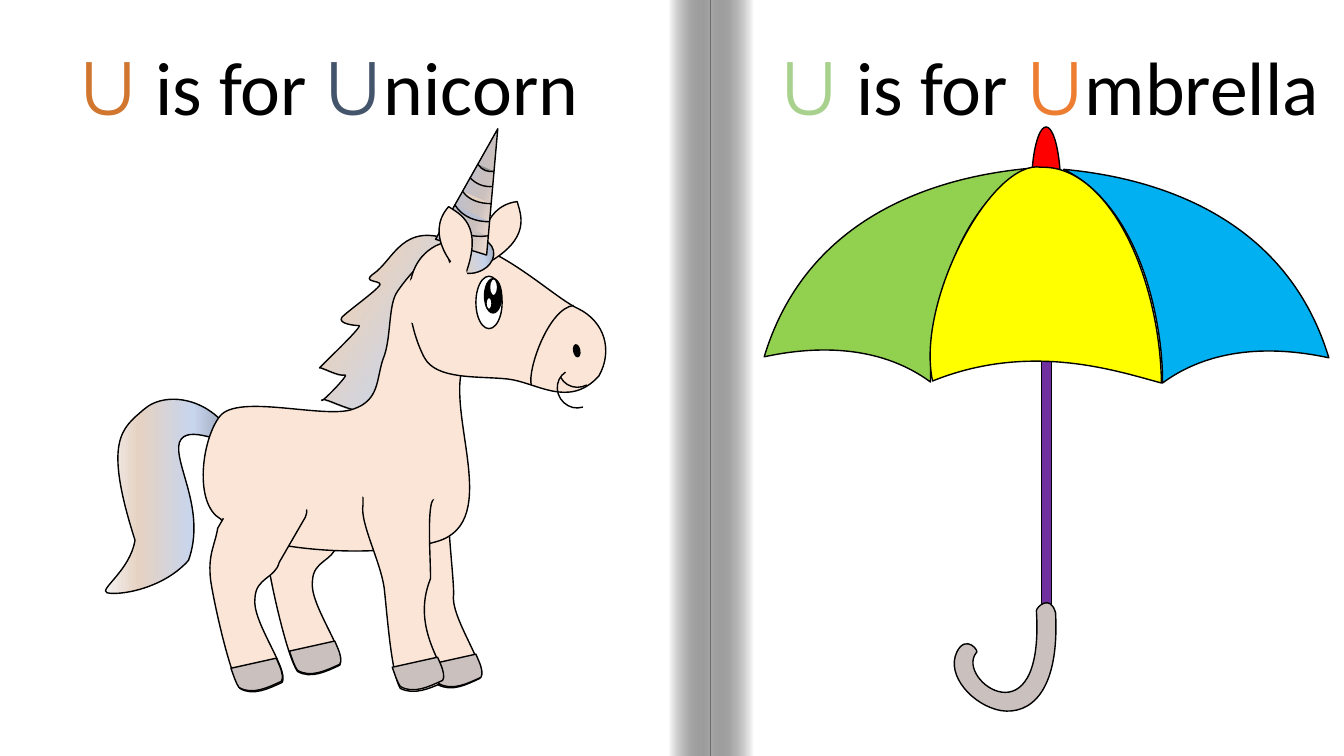
from lxml import etree
from pptx import Presentation
from pptx.dml.color import RGBColor
from pptx.enum.shapes import MSO_SHAPE as SHAPE
from pptx.enum.text import MSO_ANCHOR, MSO_AUTO_SIZE, PP_ALIGN
from pptx.oxml.ns import qn
from pptx.util import Inches, Pt

COLORS = {
    "black": "000000", "white": "FFFFFF", "skin": "FBE5D6", "hoof": "CAC0BE",
    "sand": "E6D2C2", "lilac": "BABED1", "gray": "8C8C8C", "pearl": "F6F8FC",
    "sky": "C7D5ED", "slate": "9097A9", "purple": "7030A0", "red": "FF0000",
    "green": "92D050", "blue": "00B0F0", "yellow": "FFFF00", "mint": "A9D18E",
    "orange": "ED7D31", "rust": "D1762F", "navy": "44546A",
}
# Gradient stops: position in percent, colour, opacity in percent
FOLD = [(0, "white", 100), (100, "black", 34)]
TAIL = [(0, "pearl", 100), (29, "sand", 100), (69, "sky", 100), (100, "slate", 100)]
MANE = [(0, "pearl", 20)] + TAIL[1:]
BODY = [(0, "pearl", 100), (24, "skin", 100)]
HORN = BODY + [(46, "hoof", 100), (74, "lilac", 100), (100, "slate", 100)]


def paint(shape, fill, angle=0, outlined=True):
    """Fill with a colour name, a list of gradient stops or None."""
    shape.shadow.inherit = False
    if fill is None:
        shape.fill.background()
    elif isinstance(fill, str):
        shape.fill.solid()
        shape.fill.fore_color.rgb = RGBColor.from_string(COLORS[fill])
    else:
        shape.fill.gradient()
        gradient = shape.element.spPr.find(qn("a:gradFill"))
        stops = gradient.find(qn("a:gsLst"))
        for old_stop in list(stops):
            stops.remove(old_stop)
        for position, color, opacity in fill:
            stop = etree.SubElement(stops, qn("a:gs"), pos=str(position * 1000))
            rgb = etree.SubElement(stop, qn("a:srgbClr"), val=COLORS[color])
            etree.SubElement(rgb, qn("a:alpha"), val=str(opacity * 1000))
        gradient.find(qn("a:lin")).set("ang", str(round(angle * 60000)))
    if outlined:
        shape.line.color.rgb = RGBColor.from_string(COLORS["black"])
        shape.line.width = Pt(1)
    else:
        shape.line.fill.background()


def trace(group, outline, fill, angle=0, dx=0, dy=0, mirror=1, close=True):
    """Draw comma-separated pieces: a start, then lines (2 numbers) or Bezier curves (6)."""
    pieces = [[float(n) for n in piece.split()] for piece in outline.split(",")]
    knots = [(Inches(dx + mirror * x), Inches(dy + y))
             for piece in pieces for x, y in zip(piece[::2], piece[1::2])]
    builder = group.shapes.build_freeform(*knots[0], scale=1.0)
    builder.add_line_segments(knots[1:], close=close)
    freeform = builder.convert_to_shape()
    contour = next(freeform.element.iter(qn("a:path")))
    segments = iter(contour.findall(qn("a:lnTo")))
    for piece in pieces[1:]:
        segment = next(segments)
        if len(piece) == 6:
            segment.tag = qn("a:cubicBezTo")
            for _ in range(2):
                following = next(segments)
                segment.append(following[0])
                contour.remove(following)
    paint(freeform, fill, angle)


prs = Presentation()
prs.slide_width, prs.slide_height = Inches(13.33), Inches(7.5)
slide = prs.slides.add_slide(prs.slide_layouts[5])
slide.background.fill.solid()
slide.background.fill.fore_color.rgb = RGBColor.from_string(COLORS["black"])

# Open book: white page and the shaded fold
book = slide.shapes.add_group_shape()
for left, width, fill, angle in [(0, 13.33, "white", 0), (7.05, 0.42, FOLD, 180),
                                 (6.63, 0.42, FOLD, 0)]:
    page = book.shapes.add_shape(SHAPE.RECTANGLE, Inches(left), 0, Inches(width), Inches(7.5))
    paint(page, fill, angle, outlined=False)

# Headings
umbrella_heading = slide.shapes.add_textbox(Inches(7.26), Inches(0.35), Inches(6.29), Inches(1.01))
unicorn_heading = slide.shapes.title
unicorn_heading.left, unicorn_heading.top = Inches(0), Inches(0.35)
unicorn_heading.width, unicorn_heading.height = Inches(6.68), Inches(1.01)
unicorn_heading.element.getparent().append(unicorn_heading.element)
for heading, first, second, rest in [(umbrella_heading, "mint", "orange", "mbrella"),
                                     (unicorn_heading, "rust", "navy", "nicorn ")]:
    frame = heading.text_frame
    frame.word_wrap = True
    frame.auto_size = MSO_AUTO_SIZE.SHAPE_TO_FIT_TEXT
    frame.vertical_anchor = MSO_ANCHOR.TOP
    line = frame.paragraphs[0]
    line.alignment = PP_ALIGN.CENTER
    for text, color in [("U", first), (" is for ", "black"), ("U", second), (rest, "black")]:
        run = line.add_run()
        run.text = text
        run.font.size = Pt(54)
        run.font.name = "Montserrat" if text == "U" else "Calibri"
        run.font.color.rgb = RGBColor.from_string(COLORS[color])

# Unicorn: tail, far legs, mane, body, near legs
unicorn = slide.shapes.add_group_shape()
hind_leg = ("2.99 4.62, 3.02 4.56 3.09 4.54 3.15 4.58, 3.55 4.8, 3.61 4.83 3.63 4.9 3.6 4.96,"
            "3.34 5.41, 3.3 5.57 3.11 5.56 3.1 5.76, 3.06 5.99 3.44 6.47 3.37 6.6,"
            "3.24 6.66 3.08 6.74 2.95 6.66, 2.85 6.51 2.7 5.85 2.66 5.59,"
            "2.63 5.33 2.7 5.25 2.73 5.07")
trace(unicorn, "1.06 5.88, .98 5.85 1.29 5.66 1.34 5.36, 1.02 4.36 1.21 4.25 1.43 4.06,"
      "1.66 3.86 2.15 3.96 2.34 4.39, 2.26 4.43 1.85 4.19 1.78 4.39,"
      "1.72 4.6 2.05 5.06 1.87 5.56, 1.6 5.86 1.15 5.91 1.06 5.88", TAIL)
trace(unicorn, hind_leg, "skin")
trace(unicorn, "4.11 4.64, 4.25 4.59 4.42 4.61 4.52 4.67, 4.58 4.8 4.54 4.78 4.46 4.94,"
      "4.42 5.1 4.5 5.69 4.5 5.89, 4.46 6.12 4.83 6.6 4.76 6.73, 4.63 6.79 4.48 6.87 4.34 6.79,"
      "4.25 6.64 4.09 5.98 4.06 5.72, 4.02 5.45 4 5.26 4.03 5.08", "skin")
trace(unicorn, "4.51 2.4, 4.88 2.67, 4.33 3.49, 4.04 4.06, 3.9 4.05 4.01 4.09 3.69 4.04,"
      "3.59 4.17 3.21 3.92 3.19 3.97, 3.18 4.01 3.48 3.7 3.42 3.72,"
      "3.36 3.74 3.19 3.64 3.17 3.65, 3.16 3.65 3.61 3.23 3.56 3.23,"
      "3.51 3.23 3.35 3.21 3.39 3.15, 3.43 3.1 3.77 2.86 3.77 2.82,"
      "3.76 2.78 3.59 2.8 3.7 2.72, 3.91 2.58 3.99 2.18 4.51 2.4", MANE, angle=33.5)
trace(unicorn, "3.8 3.56, 3.88 3.37 3.85 3.05 3.93 2.91, 4.01 2.78 4.33 2.39 4.44 2.5,"
      "4.56 2.61 4.61 3.12 4.61 3.58, 4.39 4.06 5 5.17 4.34 5.37, 3.67 5.57 2.34 5.44 2.19 5.15,"
      "1.92 5 2 4.36 2.18 4.13, 2.36 3.9 3.22 4.16 3.5 4.06, 3.77 3.97 3.73 3.76 3.8 3.56",
      BODY, angle=45)
trace(unicorn, hind_leg, "skin", dx=-0.57, dy=0.17)
trace(unicorn, "3.6 4.66, 3.74 4.61 4.18 4.57 4.28 4.63, 4.34 4.76 4.36 4.83 4.28 4.99,"
      "4.24 5.15 4.27 5.54 4.27 5.74, 4.06 6.26 4.46 6.64 4.4 6.77, 4.26 6.83 4.11 6.9 3.97 6.83,"
      "3.88 6.68 3.84 6.09 3.81 5.83, 3.77 5.56 3.57 5.19 3.6 5.01", "skin")
for dx, dy in [(0, 0), (0.58, -0.17), (1.98, -0.04), (1.6, -0.01)]:
    trace(unicorn, "2.74 6.53, 2.77 6.6, 2.8 6.67 2.81 6.73 2.79 6.76, 2.66 6.82 2.5 6.9 2.37 6.82,"
          "2.34 6.78 2.32 6.71 2.29 6.63", "hoof", dx=dx, dy=dy)

# Head and far ear
trace(unicorn, "4.32 2.44, 4.75 2.22 5.46 2.94 5.73 3.06, 6 3.19 6.08 3.48 5.94 3.73,"
      "5.64 4.06 5.32 3.79 5.03 3.76, 4.74 3.73 4.33 3.77 4.21 3.55,"
      "4.09 3.33 3.89 2.67 4.32 2.44", "skin")
trace(unicorn, "4.8 2.63, 5.29 2.37 5.16 2.12 5.13 2, 4.75 2.05 4.76 2.52 4.8 2.63", "skin")

# Forelock, joints, eye and nostril
for left, top, width, height, turn, fill, outlined in [
    (4.45, 2.36, 0.45, 0.35, 347.3, MANE, True),
    (2.15, 4.65, 1.03, 0.56, 345.4, "skin", False),
    (3.46, 4.49, 1.03, 0.52, 0, "skin", False),
    (4.59, 2.87, 0.52, 0.26, 90, "white", True),
    (5.66, 3.45, 0.12, 0.06, 79.3, "black", True),
    (4.72, 2.85, 0.34, 0.17, 90, "black", True),
    (3.89, 2.84, 0.49, 0.25, 98.1, "skin", False),
    (4.81, 2.81, 0.17, 0.08, 90, "white", True),
    (4.79, 2.98, 0.12, 0.06, 90, "white", True),
]:
    oval = unicorn.shapes.add_shape(SHAPE.OVAL, Inches(left), Inches(top),
                                    Inches(width), Inches(height))
    oval.rotation = turn
    paint(oval, fill, outlined=outlined)

# Mouth and muzzle
for left, top, turn, start in [(5.54, 3.47, 152.6, 270), (5.52, 3.67, 237, 192.94)]:
    mouth = unicorn.shapes.add_shape(SHAPE.ARC, Inches(left), Inches(top),
                                     Inches(0.39), Inches(0.37))
    mouth.adjustments[0] = start * 0.6
    mouth.rotation = turn
    paint(mouth, None)
trace(unicorn, "5.27 3.82, 5.23 3.67 5.44 3.06 5.69 3.03", None, close=False)

# Horn with its rings, then the near ear
horn = unicorn.shapes.add_shape(SHAPE.ISOSCELES_TRIANGLE, Inches(4.49), Inches(1.25),
                                Inches(0.53), Inches(1.23))
horn.rotation = 17.2
paint(horn, HORN, angle=180)
for ring, fill in [("4.74 1.63, 4.78 1.69 4.84 1.71 4.9 1.7", "gray"),
                   ("4.66 1.76, 4.72 1.83 4.81 1.86 4.89 1.85", "hoof"),
                   ("4.59 1.9, 4.65 1.99 4.77 2.02 4.87 2.02", "sand"),
                   ("4.51 2.03, 4.59 2.16 4.73 2.2 4.85 2.2", "lilac"),
                   ("4.43 2.18, 4.51 2.32 4.7 2.36 4.84 2.34", "hoof")]:
    trace(unicorn, ring, fill, close=False)
trace(unicorn, "4.61 2.74, 4.81 2.22 4.55 2.12 4.45 2.05, 4.2 2.33 4.51 2.68 4.61 2.74", "skin")
ear_base = unicorn.shapes.add_shape(SHAPE.OVAL, Inches(4.26), Inches(2.69),
                                    Inches(0.49), Inches(0.25))
ear_base.rotation = 98.1
paint(ear_base, "skin", outlined=False)

# Umbrella: stick, tip, two mirrored side panels, middle panel, handle
umbrella = slide.shapes.add_group_shape()
stick = umbrella.shapes.add_shape(SHAPE.RECTANGLE, Inches(10.33), Inches(1.95),
                                  Inches(0.1), Inches(4.27))
paint(stick, "purple")
tip = umbrella.shapes.add_shape(SHAPE.OVAL, Inches(10.23), Inches(1.26),
                                Inches(0.29), Inches(1.23))
paint(tip, "red")
for fill, dx, dy, mirror in [("green", 0, 0, 1), ("blue", 20.76, 0.01, -1)]:
    trace(umbrella, "7.58 3.54, 8.03 2.05 9.45 1.74 10.21 1.67, 9.39 2.07 9.22 3.33 9.23 3.79,"
          "8.7 3.4 8.04 3.44 7.58 3.54", fill, dx=dx, dy=dy, mirror=mirror)
trace(umbrella, "11.52 3.8, 11.5 2.71 10.98 1.64 10.33 1.66, 9.84 1.57 9.08 2.99 9.25 3.78,"
      "10.22 3.39 11.07 3.68 11.52 3.8", "yellow")
trace(umbrella, "9.68 6.48, 9.48 6.75 10.36 7.38 10.28 6.06, 10.28 6.02 10.42 5.89 10.47 6.08,"
      "10.51 6.88 10.21 7.09 9.93 7.05, 9.65 7 9.38 6.7 9.49 6.47,"
      "9.58 6.28 9.73 6.47 9.68 6.48", "hoof")

prs.save("out.pptx")
